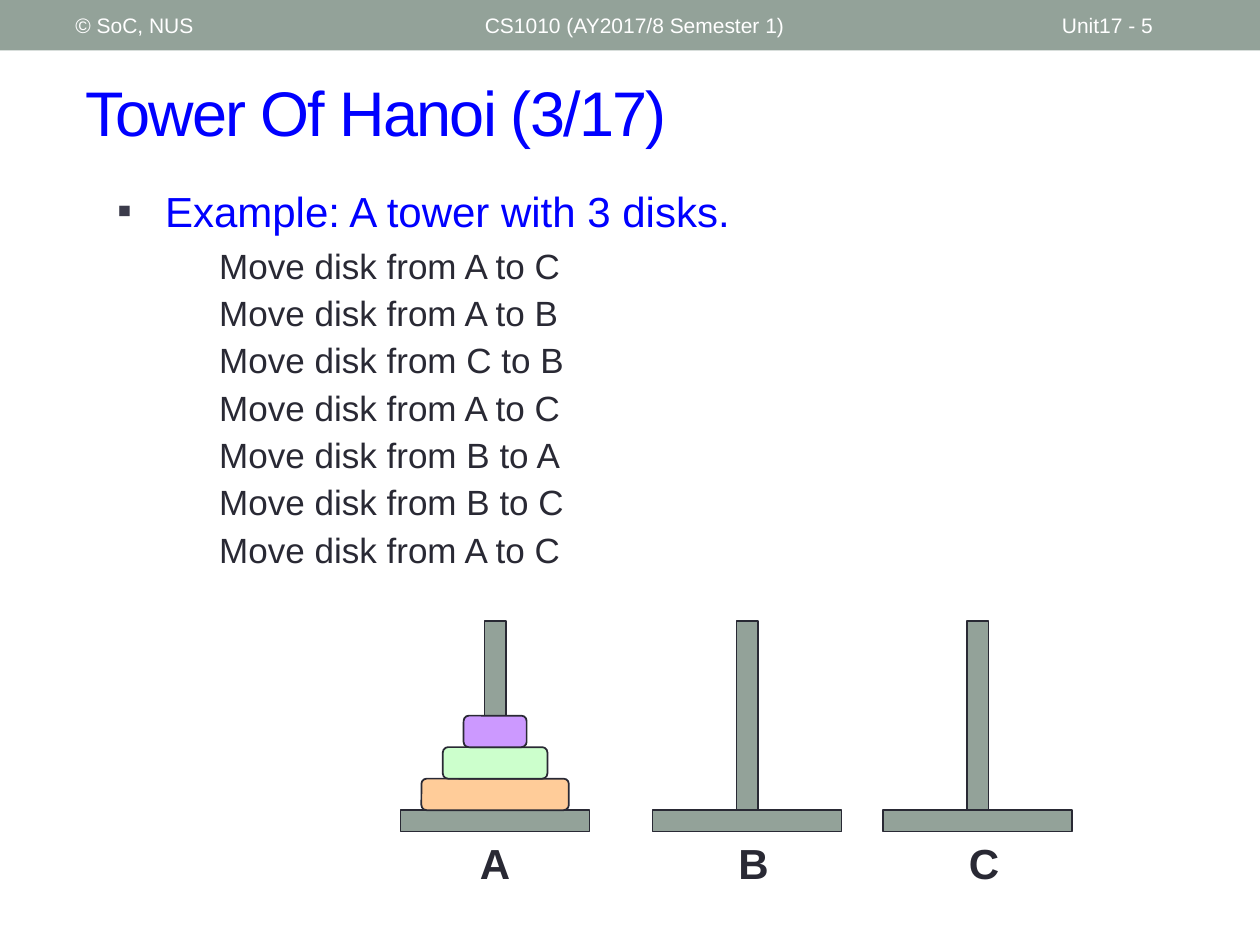
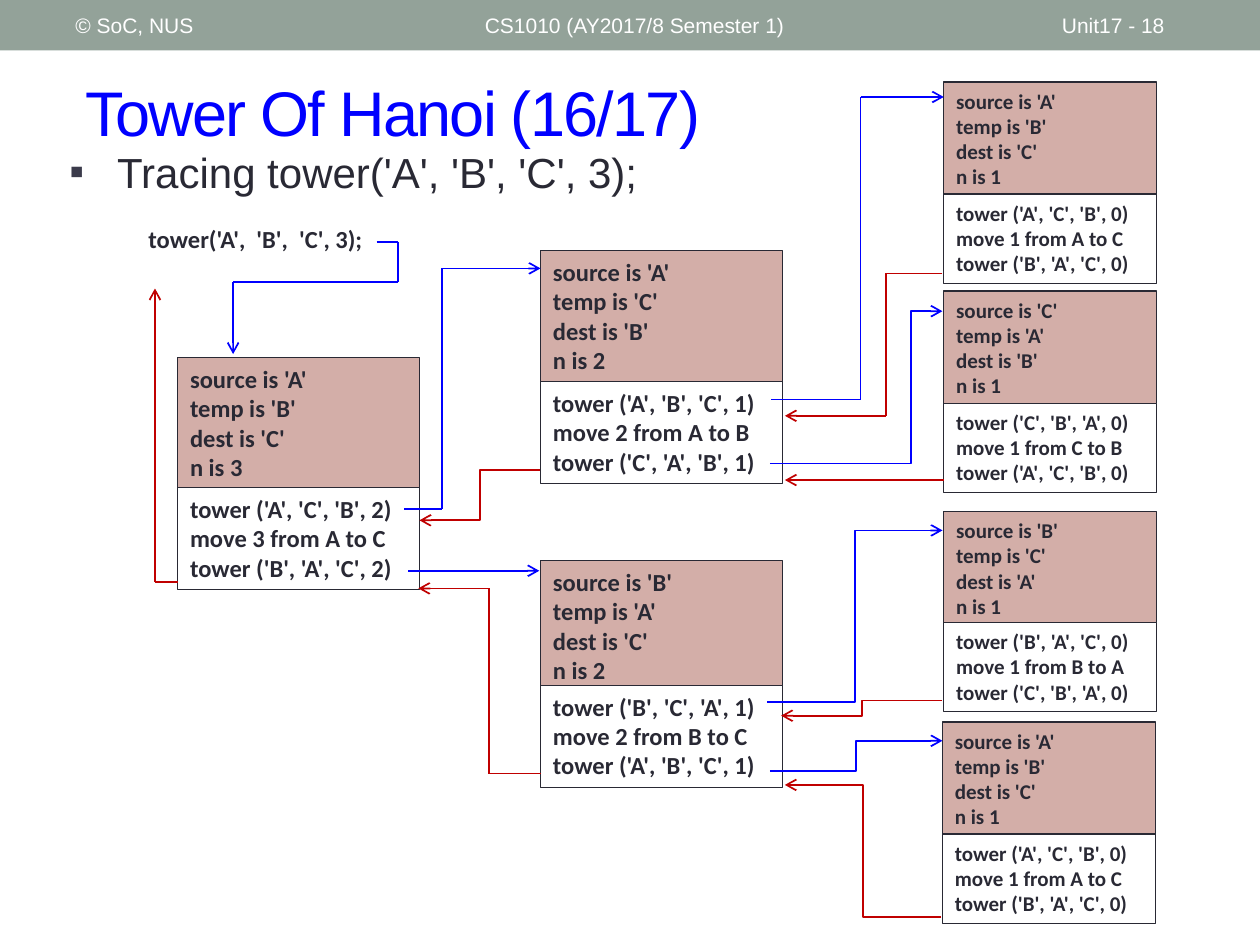
"""Build two Tower of Hanoi slides: the list of moves and the trace of the calls."""
from dataclasses import dataclass
from itertools import pairwise
from typing import Any, Iterator

import lxml.etree
import pptx
import pptx.dml.color
import pptx.enum.shapes
import pptx.enum.text
import pptx.oxml.ns
import pptx.util

Inches = pptx.util.Inches
Pt = pptx.util.Pt
SHAPE = pptx.enum.shapes.MSO_SHAPE
CONNECTOR = pptx.enum.shapes.MSO_CONNECTOR
ALIGN = pptx.enum.text.PP_ALIGN
ANCHOR = pptx.enum.text.MSO_ANCHOR

COLOURS = {
    "band": "93A299", "title": "0000FF", "text": "292934", "bullet": "3B3B4B",
    "white": "FFFFFF", "parameters": "D3AEA8", "call": "0000FF", "return": "C00000",
    "large": "FFCC99", "medium": "CCFFCC", "small": "CC99FF",
}
PEG_TOP, BASE_TOP = 4.93, 6.43
BASE_WIDTH, PEG_THICKNESS, DISK_HEIGHT = 1.5, 0.17, 0.25

Point = tuple[float, float]


@dataclass(frozen=True)
class Peg:
    name: str
    base_left: float
    label_left: float


@dataclass(frozen=True)
class Disk:
    width: float
    colour: str


@dataclass(frozen=True)
class FrameStyle:
    width: float
    parameters_height: float
    body_height: float
    size: int


@dataclass(frozen=True)
class CallFrame:
    left: float
    top: float
    body_top: float
    source: str
    temp: str
    dest: str
    disks: int


@dataclass(frozen=True)
class Trail:
    colour: str
    points: tuple[Point, ...]


@dataclass(frozen=True)
class Elbow:
    colour: str
    start: Point
    end: Point
    bend: float = 0.5


PEGS = [Peg("A", 3.18, 3.68), Peg("B", 5.18, 5.73), Peg("C", 7.01, 7.56)]
DISKS = [Disk(1.17, "large"), Disk(0.83, "medium"), Disk(0.5, "small")]
WIDE = FrameStyle(1.92, 1.04, 0.81, 14)
NARROW = FrameStyle(1.69, 0.91, 0.71, 12)
FRAMES = [
    CallFrame(1.41, 2.84, 3.87, "A", "B", "C", 3),
    CallFrame(4.29, 1.99, 3.03, "A", "C", "B", 2),
    CallFrame(4.29, 4.45, 5.44, "B", "A", "C", 2),
    CallFrame(7.49, 0.65, 1.54, "A", "B", "C", 1),
    CallFrame(7.49, 2.31, 3.2, "C", "A", "B", 1),
    CallFrame(7.49, 4.06, 4.94, "B", "C", "A", 1),
    CallFrame(7.48, 5.73, 6.62, "A", "B", "C", 1),
]
TRAILS = [
    Trail("call", ((2.99, 1.92), (3.16, 1.92), (3.16, 2.24), (1.85, 2.24), (1.85, 2.81))),
    Trail("call", ((3.21, 4.04), (3.51, 4.04), (3.51, 2.13), (4.29, 2.13))),
    Trail("call", ((3.24, 4.53), (4.28, 4.53))),
    Trail("call", ((6.12, 3.17), (6.83, 3.17), (6.83, 0.77), (7.49, 0.77))),
    Trail("return", ((7.48, 2.17), (7.03, 2.17), (7.03, 3.3), (6.23, 3.3))),
    Trail("return", ((7.49, 3.81), (6.23, 3.81))),
    Trail("return", ((4.29, 6.14), (3.88, 6.14), (3.88, 4.67), (3.32, 4.67))),
    Trail("return", ((1.41, 4.62), (1.23, 4.62), (1.23, 2.29))),
]
ELBOWS = [
    Elbow("call", (6.11, 3.68), (7.48, 2.47), 0.82),
    Elbow("return", (4.29, 3.73), (3.33, 4.13)),
    Elbow("call", (6.09, 5.57), (7.48, 4.21)),
    Elbow("return", (7.48, 5.56), (6.2, 5.68)),
    Elbow("call", (6.11, 6.12), (7.48, 5.88)),
    Elbow("return", (7.47, 7.28), (6.23, 6.23)),
]


def rgb(name: str) -> pptx.dml.color.RGBColor:
    return pptx.dml.color.RGBColor.from_string(COLOURS[name])


def add_xml(parent: Any, tag: str, **attributes: str) -> Any:
    return lxml.etree.SubElement(parent, pptx.oxml.ns.qn(tag), attributes)


def write_text(frame: Any, text: str, *, size: int, colour: str = "text", font: str = "Arial",
               bold: bool = False, align: Any = ALIGN.LEFT, anchor: Any = ANCHOR.TOP,
               tracking: int = 0, wrap: bool = True) -> None:
    frame.word_wrap = wrap
    frame.auto_size = pptx.enum.text.MSO_AUTO_SIZE.NONE
    frame.vertical_anchor = anchor
    frame.text = text
    for paragraph in frame.paragraphs:
        paragraph.alignment = align
        for run in paragraph.runs:
            run.font.size = Pt(size)
            run.font.name = font
            run.font.bold = bold
            run.font.color.rgb = rgb(colour)
            if tracking:
                run.font._element.set("spc", str(tracking * 100))


def place(shape: Any, left: float, top: float, width: float, height: float) -> None:
    shape.left, shape.top = Inches(left), Inches(top)
    shape.width, shape.height = Inches(width), Inches(height)


def add_label(slide: Any, text: str, left: float, top: float, width: float, height: float,
              **text_format: Any) -> None:
    box = slide.shapes.add_textbox(Inches(left), Inches(top), Inches(width), Inches(height))
    write_text(box.text_frame, text, **text_format)


def add_block(slide: Any, left: float, top: float, width: float, height: float, fill: str,
              line: float = 1, kind: Any = SHAPE.RECTANGLE) -> Any:
    block = slide.shapes.add_shape(kind, Inches(left), Inches(top), Inches(width), Inches(height))
    block.shadow.inherit = False
    block.fill.solid()
    block.fill.fore_color.rgb = rgb(fill)
    if line:
        block.line.color.rgb = rgb("text")
        block.line.width = Pt(line)
    else:
        block.line.fill.background()
    return block


def add_line(slide: Any, kind: Any, start: Point, end: Point, colour: str, arrow: bool) -> Any:
    line = slide.shapes.add_connector(kind, *map(Inches, (*start, *end)))
    line.line.color.rgb = rgb(colour)
    line.line.width = Pt(1)
    if arrow:
        add_xml(line.line._get_or_add_ln(), "a:tailEnd", type="arrow")
    add_xml(line._element.spPr, "a:effectLst")
    return line


def draw_trail(slide: Any, trail: Trail) -> None:
    for start, end in pairwise(trail.points):
        add_line(slide, CONNECTOR.STRAIGHT, start, end, trail.colour, end == trail.points[-1])


def draw_elbow(slide: Any, elbow: Elbow) -> None:
    line = add_line(slide, CONNECTOR.ELBOW, elbow.start, elbow.end, elbow.colour, True)
    if elbow.bend != 0.5:
        geometry = line._element.spPr.find(pptx.oxml.ns.qn("a:prstGeom"))
        guides = geometry.find(pptx.oxml.ns.qn("a:avLst"))
        add_xml(guides, "a:gd", name="adj1", fmla=f"val {round(elbow.bend * 100000)}")


def format_item(paragraph: Any, *, margin: float, indent: float = 0, bullet: str = "",
                before: float = 0, after: float = 0) -> None:
    paragraph.space_before, paragraph.space_after = Pt(before), Pt(after)
    properties = paragraph._p.get_or_add_pPr()
    properties.set("marL", str(Inches(margin)))
    properties.set("indent", str(Inches(indent)))
    if bullet:
        add_xml(add_xml(properties, "a:buClr"), "a:srgbClr", val=COLOURS["bullet"])
        add_xml(properties, "a:buFont", typeface="Arial")
        add_xml(properties, "a:buChar", char=bullet)
    else:
        add_xml(properties, "a:buNone")


def add_slide(presentation: Any, title: str, number: int) -> Any:
    slide = presentation.slides.add_slide(presentation.slide_layouts[1])
    add_block(slide, 0, 0, 10, 0.4, "band", line=0)
    place(slide.shapes.title, 0.58, 0.42, 9.17, 0.92)
    write_text(slide.shapes.title.text_frame, title, size=36, colour="title",
               anchor=ANCHOR.MIDDLE, tracking=-1)
    for text, left, width in (("© SoC, NUS", 0.5, 3.17),
                              ("CS1010 (AY2017/8 Semester 1)", 3.75, 4.5),
                              (f"Unit17 - {number}", 8.33, 1.17)):
        add_label(slide, text, left, 0.02, width, 0.36, size=12, colour="white",
                  anchor=ANCHOR.MIDDLE)
    return slide


def hanoi_moves(disks: int, source: str, temp: str, dest: str) -> Iterator[str]:
    if disks:
        yield from hanoi_moves(disks - 1, source, dest, temp)
        yield f"Move disk from {source} to {dest}"
        yield from hanoi_moves(disks - 1, temp, source, dest)


def draw_peg(slide: Any, peg: Peg) -> None:
    add_block(slide, peg.base_left, BASE_TOP, BASE_WIDTH, PEG_THICKNESS, "band")
    peg_left = peg.base_left + (BASE_WIDTH - PEG_THICKNESS) / 2
    add_block(slide, peg_left, PEG_TOP, PEG_THICKNESS, BASE_TOP - PEG_TOP, "band")
    add_label(slide, peg.name, peg.label_left, 6.6, 0.5, 0.5, size=24, bold=True,
              align=ALIGN.CENTER)


def draw_frame(slide: Any, frame: CallFrame) -> None:
    style = NARROW if frame.disks == 1 else WIDE
    source, temp, dest, disks = frame.source, frame.temp, frame.dest, frame.disks
    parameters = f"source is '{source}'\ntemp is '{temp}'\ndest is '{dest}'\nn is {disks}"
    body = (f"tower ('{source}', '{dest}', '{temp}', {disks - 1})\n"
            f"move {disks} from {source} to {dest}\n"
            f"tower ('{temp}', '{source}', '{dest}', {disks - 1})")
    for text, top, height, fill in (
            (parameters, frame.top, style.parameters_height, "parameters"),
            (body, frame.body_top, style.body_height, "white")):
        block = add_block(slide, frame.left, top, style.width, height, fill, line=0.75)
        write_text(block.text_frame, text, size=style.size, font="Calibri", bold=True)


def build_moves_slide(presentation: Any) -> None:
    slide = add_slide(presentation, "Tower Of Hanoi (3/17)", 5)
    body = slide.placeholders[1]
    place(body, 0.83, 1.42, 8.75, 5.5)
    lines = ["Example: A tower with 3 disks.", *hanoi_moves(3, "A", "B", "C")]
    write_text(body.text_frame, "\n".join(lines), size=20, align=ALIGN.JUSTIFY)
    heading, *steps = body.text_frame.paragraphs
    heading.runs[0].font.size = Pt(24)
    heading.runs[0].font.color.rgb = rgb("title")
    format_item(heading, margin=0.38, indent=-0.38, bullet="▪", before=5, after=2)
    for step in steps:
        step.level = 1
        format_item(step, margin=0.81, before=3)
    for peg in PEGS:
        draw_peg(slide, peg)
    centre = PEGS[0].base_left + BASE_WIDTH / 2
    for level, disk in enumerate(DISKS, start=1):
        add_block(slide, centre - disk.width / 2, BASE_TOP - level * DISK_HEIGHT, disk.width,
                  DISK_HEIGHT, disk.colour, kind=SHAPE.ROUNDED_RECTANGLE)


def build_trace_slide(presentation: Any) -> None:
    slide = add_slide(presentation, "Tower Of Hanoi (16/17)", 18)
    body = slide.placeholders[1]
    place(body, 0.45, 1.11, 5.25, 0.63)
    write_text(body.text_frame, "Tracing tower('A', 'B', 'C', 3);", size=24)
    format_item(body.text_frame.paragraphs[0], margin=0.38, indent=-0.38, bullet="▪", before=6)
    add_label(slide, "tower('A',  'B',  'C', 3);", 1.08, 1.73, 1.97, 0.34, size=14,
              font="Calibri", bold=True)
    for frame in FRAMES:
        draw_frame(slide, frame)
    for trail in TRAILS:
        draw_trail(slide, trail)
    for elbow in ELBOWS:
        draw_elbow(slide, elbow)


def main() -> None:
    presentation = pptx.Presentation()
    presentation.slide_width, presentation.slide_height = Inches(10), Inches(7.5)
    build_moves_slide(presentation)
    build_trace_slide(presentation)
    presentation.save("out.pptx")


if __name__ == "__main__":
    main()
